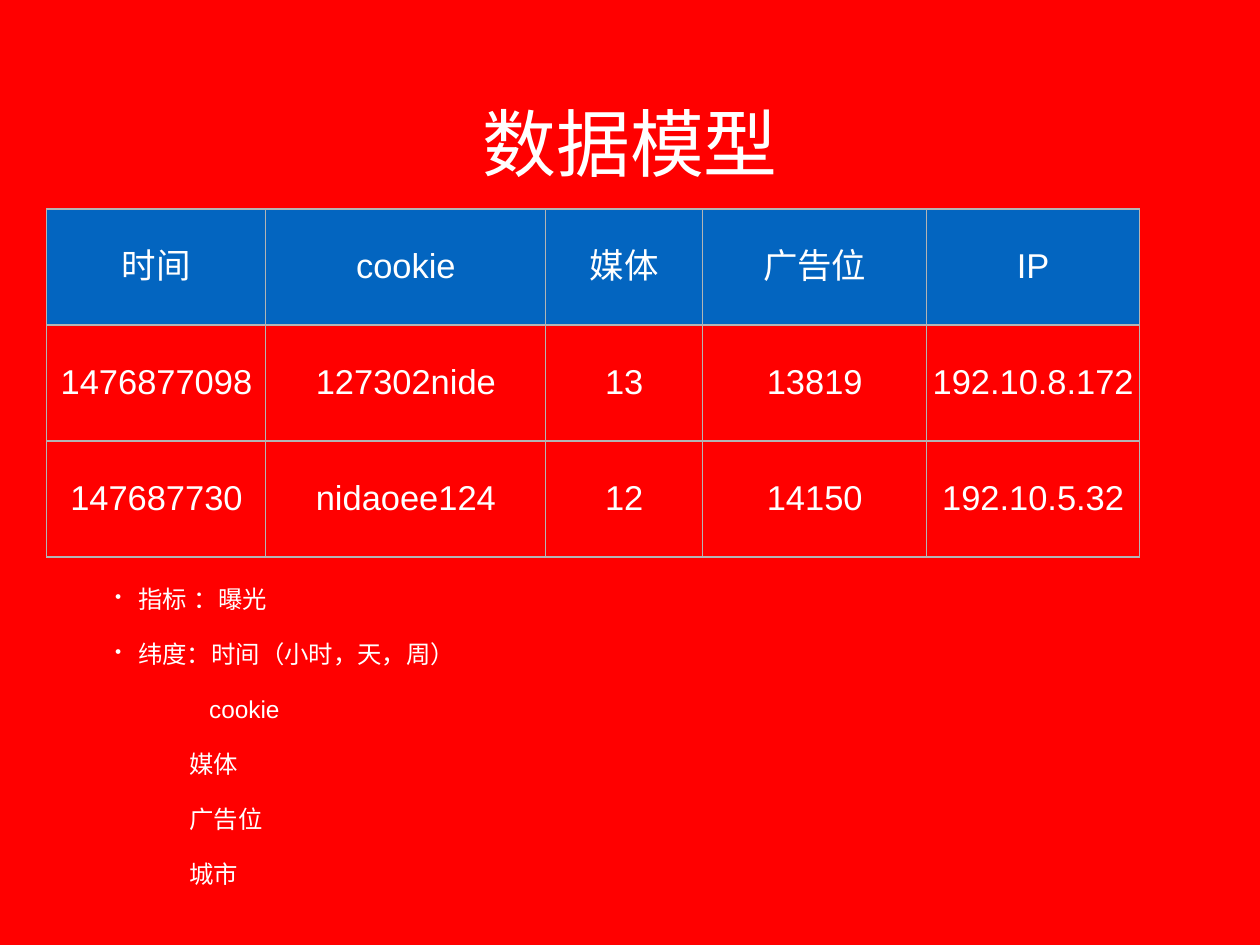
from dataclasses import dataclass

from lxml.etree import SubElement
from pptx import Presentation
from pptx.dml.color import RGBColor
from pptx.enum.text import MSO_ANCHOR as Anchor, PP_ALIGN as Align
from pptx.oxml import parse_xml
from pptx.oxml.ns import nsdecls, qn
from pptx.util import Inches, Pt

RED = RGBColor(0xFF, 0x00, 0x00)
BLUE = RGBColor(0x03, 0x65, 0xC0)
WHITE = RGBColor(0xFF, 0xFF, 0xFF)
GREY = RGBColor(0xB4, 0xB4, 0xB4)
FONT = "Arial"
INSET = Inches(0.06)


@dataclass
class Item:
    text: str
    indent: float
    bullet: bool = False


ITEMS = [
    Item("指标 ：曝光", 0.26, bullet=True),
    Item("纬度：时间（小时，天，周）", 0.26, bullet=True),
    Item("cookie", 1.06),
    Item("媒体", 0.84),
    Item("广告位", 0.84),
    Item("城市", 0.84),
]
COLUMN_WIDTHS = [2.47, 3.16, 1.77, 2.53, 2.4]
ROW_HEIGHT = 1.31
ROWS = [
    ["时间", "cookie", "媒体", "广告位", "IP"],
    ["1476877098", "127302nide", "13", "13819", "192.10.8.172"],
    ["147687730", "nidaoee124", "12", "14150", "192.10.5.32"],
]


def add_text(p, text: str, *, size: float, align=Align.LEFT, before: float = 0) -> None:
    p.alignment = align
    p.space_before = Pt(before)
    r = p.add_run()
    r.text = text
    r.font.size = Pt(size)
    r.font.name = FONT
    r.font.color.rgb = WHITE
    SubElement(r.font._element, qn("a:ea")).set("typeface", FONT)


def set_insets(box) -> None:
    box.margin_left = box.margin_right = INSET
    box.margin_top = box.margin_bottom = INSET
    box.vertical_anchor = Anchor.MIDDLE


def add_box(slide, left: float, top: float, width: float, height: float):
    sp = slide.shapes.add_textbox(Inches(left), Inches(top), Inches(width), Inches(height))
    tf = sp.text_frame
    tf.word_wrap = True
    set_insets(tf)
    return tf


def indent(p, item: Item) -> None:
    pPr = p._p.get_or_add_pPr()
    pPr.set("marL", str(Inches(item.indent)))
    pPr.set("indent", str(-Inches(item.indent) if item.bullet else 0))
    if item.bullet:
        SubElement(pPr, qn("a:buSzPct")).set("val", "75000")
        SubElement(pPr, qn("a:buChar")).set("char", "•")


def add_borders(cell) -> None:
    tcPr = cell._tc.get_or_add_tcPr()
    for i, side in enumerate(("lnL", "lnR", "lnT", "lnB")):
        tcPr.insert(i, parse_xml(
            f'<a:{side} {nsdecls("a")} w="{Pt(1)}"><a:solidFill>'
            f'<a:srgbClr val="{GREY}"/></a:solidFill></a:{side}>'))


def add_data_table(slide, left: float, top: float) -> None:
    frame = slide.shapes.add_table(
        len(ROWS), len(COLUMN_WIDTHS), Inches(left), Inches(top),
        Inches(sum(COLUMN_WIDTHS)), Inches(ROW_HEIGHT * len(ROWS)))
    table = frame.table
    table.first_row = table.horz_banding = False
    for column, width in zip(table.columns, COLUMN_WIDTHS):
        column.width = Inches(width)
    for y, row in enumerate(ROWS):
        table.rows[y].height = Inches(ROW_HEIGHT)
        for x, text in enumerate(row):
            cell = table.cell(y, x)
            set_insets(cell)
            add_text(cell.text_frame.paragraphs[0], text, size=28, align=Align.CENTER)
            if y == 0:
                cell.fill.solid()
                cell.fill.fore_color.rgb = BLUE
            else:
                cell.fill.background()
            add_borders(cell)


def main() -> None:
    prs = Presentation()
    prs.slide_width, prs.slide_height = Inches(14.22), Inches(10.67)
    slide = prs.slides.add_slide(prs.slide_layouts[6])
    slide.background.fill.solid()
    slide.background.fill.fore_color.rgb = RED

    # Title
    tf = add_box(slide, 1.04, 0.44, 12.14, 2.32)
    add_text(tf.paragraphs[0], "数据模型", size=60, align=Align.CENTER)

    # Metrics and dimensions
    tf = add_box(slide, 1.24, 6.34, 12.14, 3.95)
    for i, item in enumerate(ITEMS):
        p = tf.add_paragraph() if i else tf.paragraphs[0]
        add_text(p, item.text, size=19.8, before=21)
        indent(p, item)

    # Sample records
    add_data_table(slide, 0.53, 2.36)

    prs.save("out.pptx")


if __name__ == "__main__":
    main()
